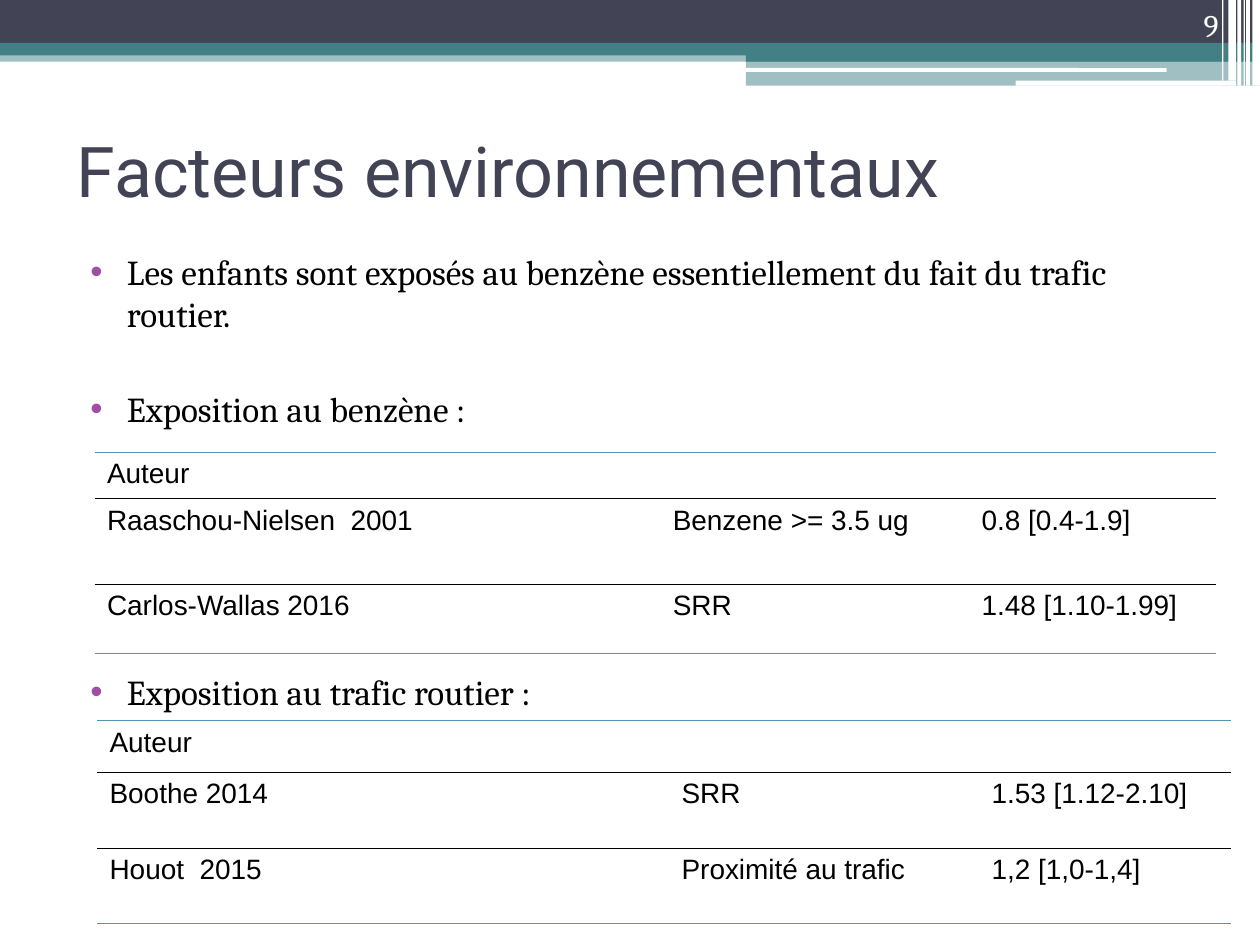
from lxml import etree
from pptx import Presentation, util as u
from pptx.dml.color import RGBColor
from pptx.enum import shapes, text
from pptx.oxml.ns import qn

NAVY = RGBColor(0x42, 0x44, 0x56)
TEAL = RGBColor(0x43, 0x80, 0x86)
PURPLE = RGBColor(0xA0, 0x4D, 0xA3)
BLUE = RGBColor(0x5C, 0x92, 0xB5)
BLACK = RGBColor(0, 0, 0)
WHITE = RGBColor(255, 255, 255)

WIDTH, HEIGHT = 10, 7.5
NO_STYLE = "{2D5ABB26-0587-4C30-8999-92F81FD0307C}"

TITLE = "Facteurs environnementaux"
PAGE = "9"
# text, space before in points (the larger gaps leave room for a table)
BULLETS = [
    ("Les enfants sont exposés au benzène essentiellement du fait du trafic routier.", 0),
    ("Exposition au benzène :", 30),
    ("Exposition au trafic routier :", 138),
]
# left, top, column widths, row heights, cells
STUDIES = [
    (0.75, 3.59, (4.49, 2.45, 1.96), (0.35, 0.68, 0.55), [
        ("Auteur", "", ""),
        ("Raaschou-Nielsen  2001", "Benzene >= 3.5 ug", "0.8 [0.4-1.9]"),
        ("Carlos-Wallas 2016", "SRR", "1.48 [1.10-1.99]"),
    ]),
    (0.77, 5.72, (4.54, 2.46, 2), (0.41, 0.6, 0.6), [
        ("Auteur", "", ""),
        ("Boothe 2014", "SRR", "1.53 [1.12-2.10]"),
        ("Houot  2015", "Proximité au trafic", "1,2 [1,0-1,4]"),
    ]),
]

# left, top, width, height, colour, opacity in percent
BANDS = [
    (0, 0.4, WIDTH, 0.09, TEAL, 50),
    (0, 0, WIDTH, 0.34, NAVY, 100),
    (0, 0.34, WIDTH, 0.1, TEAL, 100),
    (5.92, 0.39, 4.08, 0.1, TEAL, 100),
    (5.92, 0.48, 4.08, 0.2, TEAL, 50),
]
ROUNDED_STRIPES = [(5.91, 0.54, 3.35, 0.03), (8.06, 0.64, 1.75, 0.04)]
# left, width, height of the upright stripes
UPRIGHTS = [(9.94, 0.06, 0.68), (9.89, 0.03, 0.68), (9.87, 0.01, 0.68),
            (9.82, 0.03, 0.68), (9.75, 0.06, 0.64), (9.7, 0.01, 0.64)]


def add_band(slide, left, top, width, height, color, opacity=100, rounded=False):
    kind = shapes.MSO_SHAPE.ROUNDED_RECTANGLE if rounded else shapes.MSO_SHAPE.RECTANGLE
    band = slide.shapes.add_shape(kind, *map(u.Inches, (left, top, width, height)))
    band.shadow.inherit = False
    band.line.fill.background()
    band.fill.solid()
    band.fill.fore_color.rgb = color
    if opacity < 100:
        fill_color = band.fill._xPr.find(qn("a:solidFill"))[0]
        etree.SubElement(fill_color, qn("a:alpha"), val=str(opacity * 1000))


def style(paragraph, font, size, color):
    paragraph.font.name = font
    paragraph.font.size = u.Pt(size)
    paragraph.font.color.rgb = color


def add_text(slide, left, top, width, height, anchor):
    frame = slide.shapes.add_textbox(*map(u.Inches, (left, top, width, height))).text_frame
    frame.word_wrap = True
    frame.vertical_anchor = anchor
    return frame


def add_bullet(paragraph):
    props = paragraph._p.get_or_add_pPr()
    props.set("marL", str(u.Inches(0.4)))
    props.set("indent", str(u.Inches(-0.29)))
    color = etree.SubElement(props, qn("a:buClr"))
    etree.SubElement(color, qn("a:srgbClr"), val=str(PURPLE))
    etree.SubElement(props, qn("a:buFont"), typeface="Arial")
    etree.SubElement(props, qn("a:buChar"), char="•")


def add_border(cell, side, color):
    line = etree.SubElement(cell._tc.get_or_add_tcPr(), qn("a:" + side), w=str(u.Pt(0.45)))
    fill = etree.SubElement(line, qn("a:solidFill"))
    etree.SubElement(fill, qn("a:srgbClr"), val=str(color))


def add_study_table(slide, left, top, widths, heights, rows):
    frame = slide.shapes.add_table(
        len(rows), len(widths),
        *map(u.Inches, (left, top, sum(widths), sum(heights))))
    table = frame.table
    table.first_row = table.horz_banding = False
    table._tbl.tblPr.find(qn("a:tableStyleId")).text = NO_STYLE
    for column, width in zip(table.columns, widths):
        column.width = u.Inches(width)
    last = len(rows) - 1
    for r, (row, height) in enumerate(zip(rows, heights)):
        table.rows[r].height = u.Inches(height)
        for c, value in enumerate(row):
            cell = table.cell(r, c)
            add_border(cell, "lnT", BLUE if r == 0 else BLACK)
            add_border(cell, "lnB", BLUE if r == last else BLACK)
            cell.fill.background()
            if value:
                cell.text = value
                style(cell.text_frame.paragraphs[0], "Arial", 16, BLACK)
            else:
                cell.margin_top = cell.margin_bottom = 0


def main():
    deck = Presentation()
    deck.slide_width, deck.slide_height = u.Inches(WIDTH), u.Inches(HEIGHT)
    slide = deck.slides.add_slide(deck.slide_layouts[6])

    for band in BANDS:
        add_band(slide, *band)
    for stripe in ROUNDED_STRIPES:
        add_band(slide, *stripe, WHITE, rounded=True)
    for left, width, height in UPRIGHTS:
        add_band(slide, left, 0, width, height, WHITE)

    title = add_text(slide, 0.51, 0.76, 9, 1.17, text.MSO_ANCHOR.MIDDLE).paragraphs[0]
    title.text = TITLE
    style(title, "Roboto", 40, NAVY)

    body = add_text(slide, 0.51, 1.94, 9, 4.73, text.MSO_ANCHOR.TOP)
    for i, (words, gap) in enumerate(BULLETS):
        point = body.add_paragraph() if i else body.paragraphs[0]
        point.text = words
        if gap:
            point.space_before = u.Pt(gap)
        add_bullet(point)
        style(point, "Cambria", 20, BLACK)

    page = add_text(slide, 8.94, 0, 0.83, 0.4, text.MSO_ANCHOR.BOTTOM).paragraphs[0]
    page.text = PAGE
    page.alignment = text.PP_ALIGN.RIGHT
    style(page, "Cambria", 18, WHITE)

    for study in STUDIES:
        add_study_table(slide, *study)

    deck.save("out.pptx")


if __name__ == "__main__":
    main()
